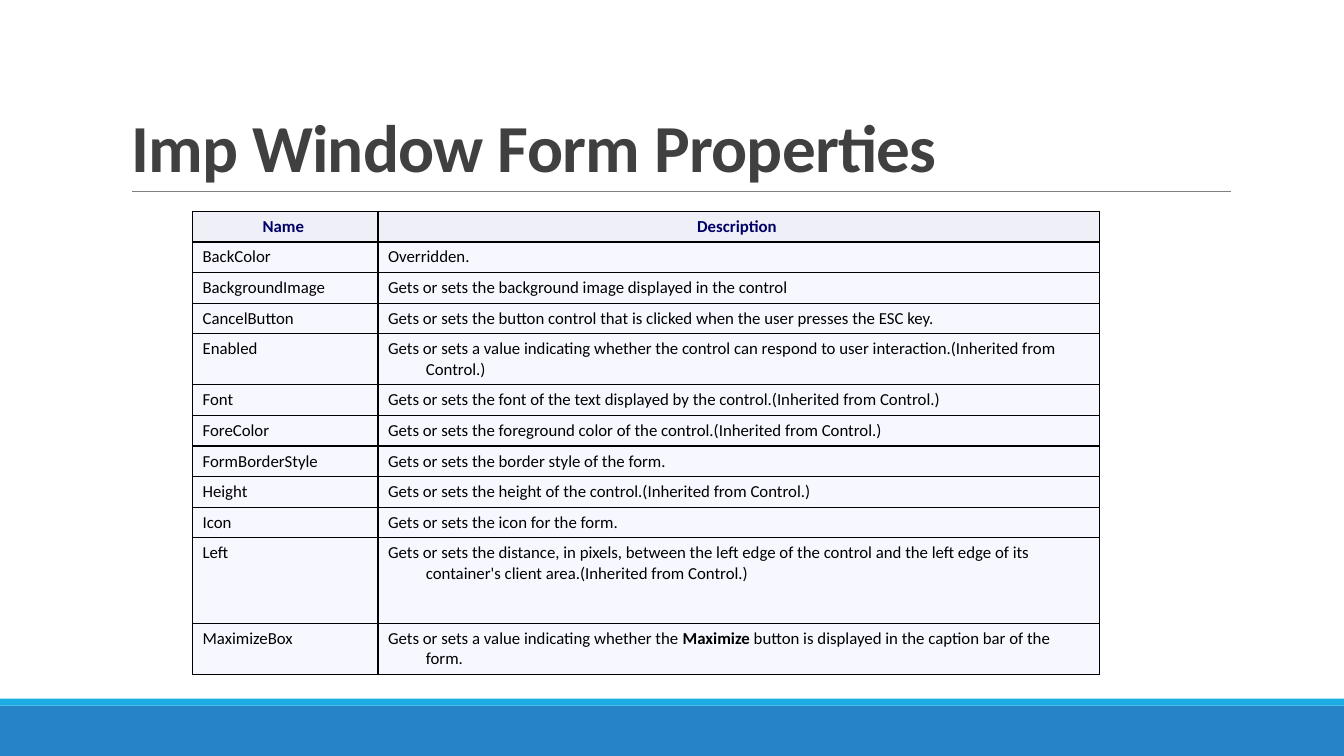
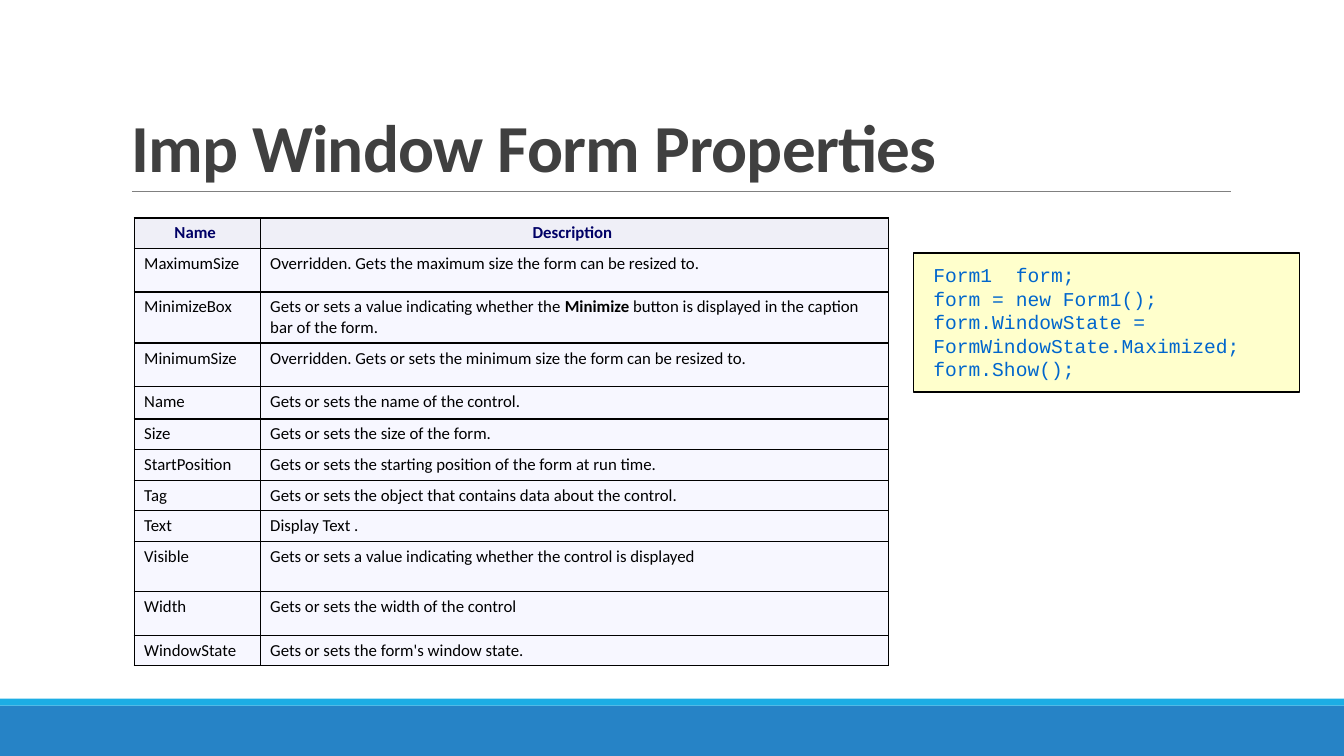
"""Build two slides that list window form properties."""
from pptx import Presentation
from pptx.dml.color import RGBColor
from pptx.enum.shapes import MSO_CONNECTOR as Link, MSO_SHAPE as Shape
from pptx.enum.text import MSO_ANCHOR as Anchor, MSO_AUTO_SIZE as Fit, PP_ALIGN as Align
from pptx.oxml.ns import qn
from pptx.util import Pt
from lxml.etree import SubElement

BLUE = RGBColor(0x26, 0x83, 0xC6)
CYAN = RGBColor(0x1C, 0xAD, 0xE4)
GRAY = RGBColor(0x80, 0x80, 0x80)
DARK = RGBColor(0x40, 0x40, 0x40)
NAVY = RGBColor(0x00, 0x00, 0x66)
BLACK = RGBColor(0x00, 0x00, 0x00)
HEAD = RGBColor(0xEF, 0xEF, 0xF7)
PALE = RGBColor(0xF7, 0xF7, 0xFF)
CREAM = RGBColor(0xFF, 0xFF, 0xCC)
CODE = RGBColor(0x00, 0x66, 0xCC)

TITLE = "Imp Window Form Properties"
ONE, TWO = 21.85, 36.5
TOP = ("Name ", "Description ", ONE)

FIRST = [
    TOP,
    ("BackColor", "Overridden.", ONE),
    ("BackgroundImage", "Gets or sets the background image displayed in the control", ONE),
    ("CancelButton", "Gets or sets the button control that is clicked when the user presses the ESC key.", ONE),
    ("Enabled", "Gets or sets a value indicating whether the control can respond to user interaction."
     "(Inherited from Control.)", TWO),
    ("Font", "Gets or sets the font of the text displayed by the control.(Inherited from Control.)", ONE),
    ("ForeColor", "Gets or sets the foreground color of the control.(Inherited from Control.)", ONE),
    ("FormBorderStyle", "Gets or sets the border style of the form.", ONE),
    ("Height", "Gets or sets the height of the control.(Inherited from Control.)", ONE),
    ("Icon", "Gets or sets the icon for the form.", ONE),
    ("Left", "Gets or sets the distance, in pixels, between the left edge of the control and the left edge "
     "of its container's client area.(Inherited from Control.)", 61),
    ("MaximizeBox", "Gets or sets a value indicating whether the |Maximize| button is displayed in the "
     "caption bar of the form.", TWO),
]
SECOND = [
    TOP,
    ("MaximumSize", "Overridden. Gets the maximum size the form can be resized to.", 31),
    ("MinimizeBox", "Gets or sets a value indicating whether the |Minimize| button is displayed in the "
     "caption bar of the form.", TWO),
    ("MinimumSize", "Overridden. Gets or sets the minimum size the form can be resized to.", 31),
    ("Name", "Gets or sets the name of the control.", 23.3),
    ("Size", "Gets or sets the size of the form.", ONE),
    ("StartPosition", "Gets or sets the starting position of the form at run time.", ONE),
    ("Tag", "Gets or sets the object that contains data about the control.", ONE),
    ("Text", "Display Text .", ONE),
    ("Visible", "Gets or sets a value indicating whether the control is displayed", 36),
    ("Width", "Gets or sets the width of the control", 31),
    ("WindowState", "Gets or sets the form's window state.", ONE),
]
LINES = [
    "Form1  form;",
    "form = new Form1();",
    "form.WindowState = FormWindowState.Maximized;",
    "form.Show();",
]


def write(para, text, size, color, bold=False, face="Calibri"):
    run = para.add_run()
    run.text = text
    font = run.font
    font.name, font.size, font.bold = face, Pt(size), bold
    font.color.rgb = color
    return run


def block(slide, x, y, w, h, fill):
    shape = slide.shapes.add_shape(Shape.RECTANGLE, Pt(x), Pt(y), Pt(w), Pt(h))
    shape.shadow.inherit = False
    shape.fill.solid()
    shape.fill.fore_color.rgb = fill
    shape.line.fill.background()
    return shape


deck = Presentation()
deck.slide_width, deck.slide_height = Pt(960), Pt(540)
base = deck.slide_layouts[5]
slides = [deck.slides.add_slide(base) for _ in range(2)]

name = base.placeholders[0]
name.left, name.top, name.width, name.height = Pt(86.4), Pt(22.5), Pt(792), Pt(114.3)
name.text_frame.vertical_anchor = Anchor.BOTTOM
name.text_frame.auto_size = Fit.NONE

rule = slides[0].shapes.add_connector(Link.STRAIGHT, Pt(94.3), Pt(136.8), Pt(879.1), Pt(136.8))
rule.line.color.rgb = GRAY
rule.line.width = Pt(0.5)
SubElement(rule.element.spPr, qn("a:effectLst"))
bands = [block(slides[0], 0, 504, 960, 36, BLUE), block(slides[0], 0, 499, 960, 5, CYAN)]
for part in bands + [rule]:
    base.shapes.element.append(part.element)

plans = [
    (FIRST, 137.5, 151, (132.5, 515.5), 27),
    (SECOND, 95.8, 155.7, (90, 449), 0),
]
for slide, (rows, x, y, cols, hang) in zip(slides, plans):
    para = slide.shapes.title.text_frame.paragraphs[0]
    para.alignment = Align.LEFT
    para.line_spacing = 0.85
    run = write(para, TITLE, 48, DARK, True)
    run.font._element.set("spc", "-50")

    high = sum(row[2] for row in rows)
    frame = slide.shapes.add_table(len(rows), 2, Pt(x), Pt(y), Pt(sum(cols)), Pt(high))
    table = frame.table
    table.first_row = table.horz_banding = False
    for col, wide in zip(table.columns, cols):
        col.width = Pt(wide)
    for r, (*texts, tall) in enumerate(rows):
        table.rows[r].height = Pt(tall)
        for c, text in enumerate(texts):
            cell = table.cell(r, c)
            props = cell._tc.get_or_add_tcPr()
            for side in ("lnL", "lnR", "lnT", "lnB"):
                edge = SubElement(props, qn("a:" + side), w=str(Pt(1)))
                paint = SubElement(edge, qn("a:solidFill"))
                SubElement(paint, qn("a:srgbClr"), val=str(BLACK))
            cell.fill.solid()
            cell.fill.fore_color.rgb = PALE if r else HEAD
            para = cell.text_frame.paragraphs[0]
            para.alignment = Align.LEFT if r else Align.CENTER
            if hang:
                indent = para._p.get_or_add_pPr()
                indent.set("marL", str(Pt(hang)))
                indent.set("indent", str(Pt(-hang)))
            for i, piece in enumerate(text.split("|")):
                write(para, piece, 12, BLACK if r else NAVY, r == 0 or i == 1)

box = block(slides[1], 652.3, 180.7, 276, 99.4, CREAM)
box.line.color.rgb = BLACK
box.line.width = Pt(1)
body = box.text_frame
body.word_wrap = True
body.vertical_anchor = Anchor.TOP
body.margin_left = body.margin_right = Pt(14.4)
body.margin_top = body.margin_bottom = Pt(7.2)
for i, line in enumerate(LINES):
    para = body.add_paragraph() if i else body.paragraphs[0]
    para.alignment = Align.LEFT
    para.line_spacing = Pt(16.8)
    write(para, line, 14, CODE, face="Courier New")

deck.save("out.pptx")
